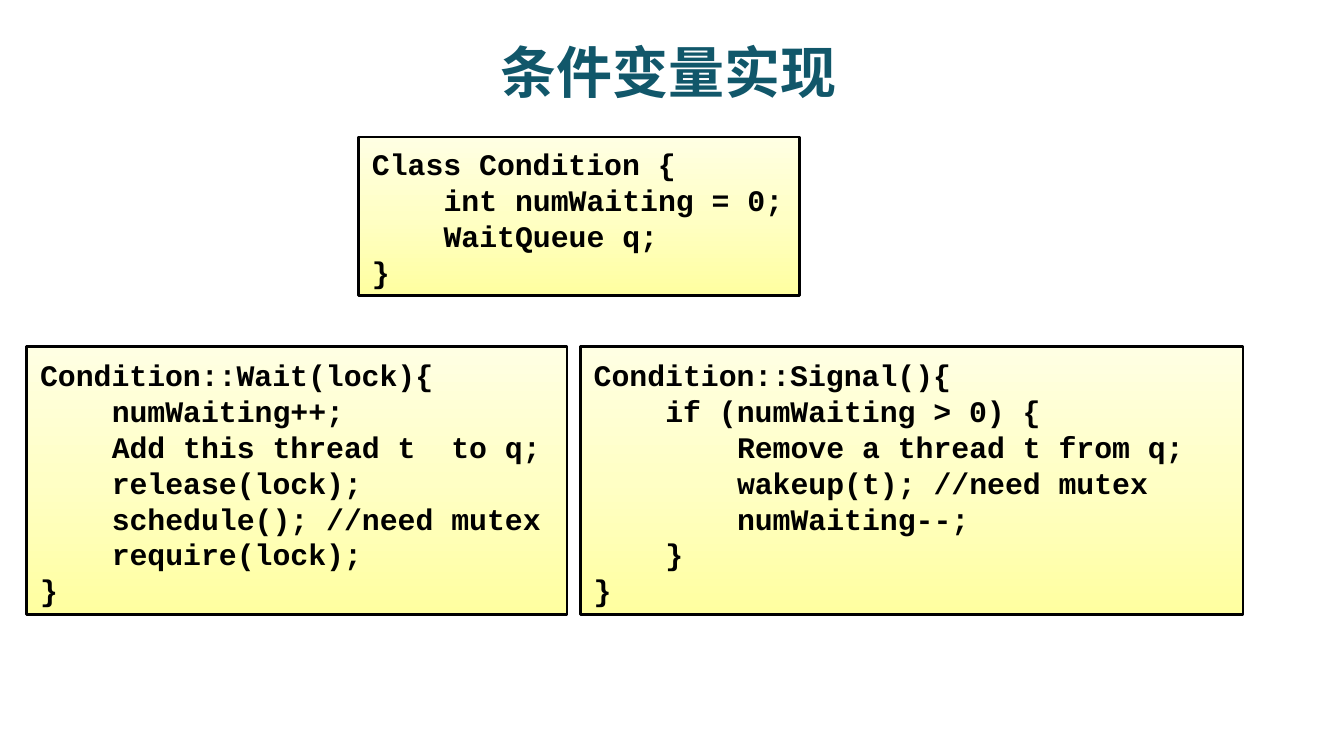
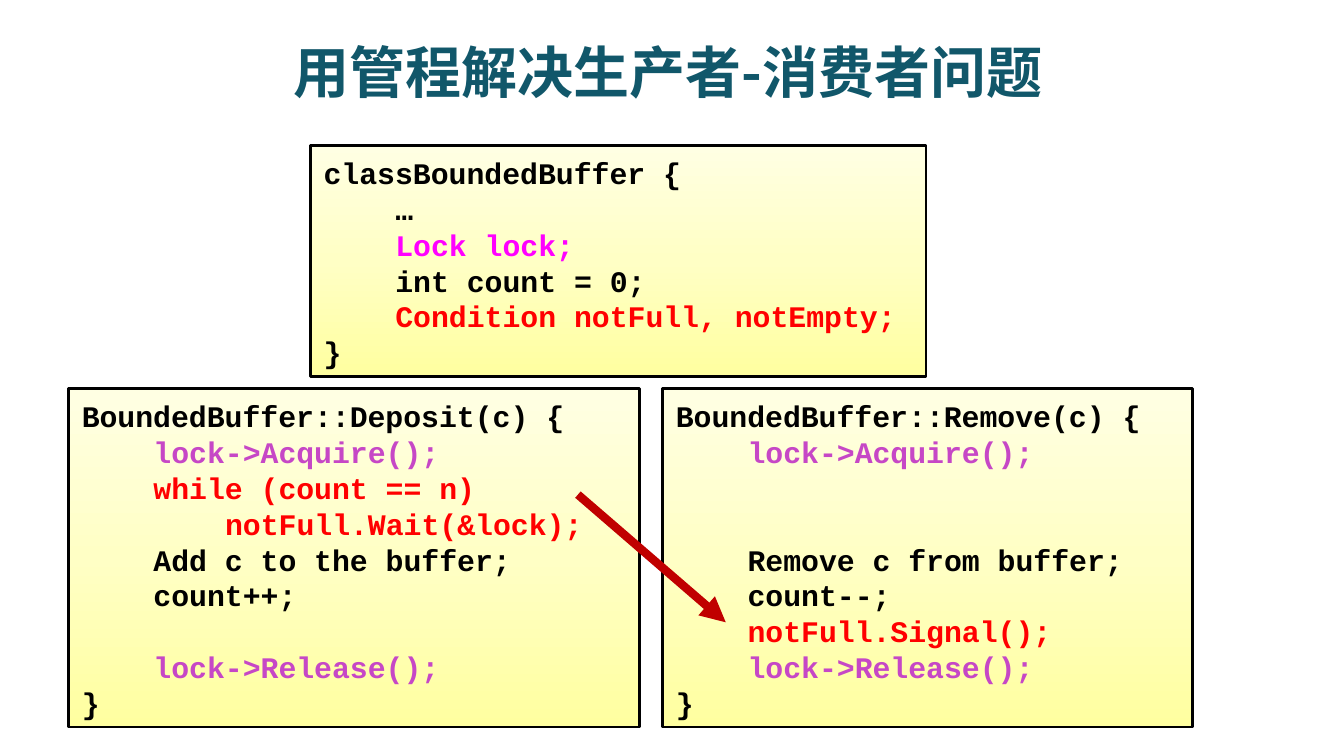
from copy import deepcopy
from typing import NamedTuple

from lxml.etree import SubElement
from pptx import Presentation
from pptx.dml.color import RGBColor
from pptx.enum.shapes import MSO_CONNECTOR, MSO_SHAPE
from pptx.enum.text import MSO_ANCHOR, PP_ALIGN
from pptx.oxml.ns import qn
from pptx.slide import Slide
from pptx.util import Pt

COLORS = {
    "title": "11576A",
    "ink": "000000",
    "lock": "C647C6",
    "field": "FF00FF",
    "key": "FF0000",
    "arrow": "C00000",
}
GLOW = [(0, "FFFFA0"), (0.5, "FFFFC5"), (1, "FFFFE3")]
TITLE_FONT, CODE_FONT = "Noto Sans CJK SC", "Courier New"
CODE_SIZE = 16
PITCH = 19.2
TAB = 38.4  # four characters of code


class Line(NamedTuple):
    """A line of code: depth counts indents, skip counts empty lines above."""
    text: str
    depth: int = 0
    color: str = "ink"
    skip: int = 0


class Code(NamedTuple):
    left: float
    top: float
    width: float
    height: float
    lines: list[Line]


class Arrow(NamedTuple):
    x1: float
    y1: float
    x2: float
    y2: float


class Page(NamedTuple):
    title: str
    codes: list[Code]
    arrows: list[Arrow] = []


ACQUIRE = Line("lock->Acquire();", 1, "lock")
RELEASE = Line("lock->Release();", 1, "lock")
END = Line("}")

PAGES = [
    Page("条件变量实现", [
        Code(14.4, 185.8, 289.4, 143.3, [
            Line("Condition::Wait(lock){"),
            Line("numWaiting++;", 1),
            Line("Add this thread t  to q;", 1),
            Line("release(lock);", 1),
            Line("schedule(); //need mutex", 1),
            Line("require(lock);", 1),
            END,
        ]),
        Code(311, 185.8, 355, 143.3, [
            Line("Condition::Signal(){"),
            Line("if (numWaiting > 0) {", 1),
            Line("Remove a thread t from q;", 2),
            Line("wakeup(t); //need mutex", 2),
            Line("numWaiting--;", 2),
            Line("}", 1),
            END,
        ]),
        Code(192.2, 73.4, 236.2, 85, [
            Line("Class Condition {"),
            Line("int numWaiting = 0;", 1),
            Line("WaitQueue q;", 1),
            END,
        ]),
    ]),
    Page("用管程解决生产者-消费者问题", [
        Code(36.7, 208.1, 306, 181.4, [
            Line("BoundedBuffer::Deposit(c) {"),
            ACQUIRE,
            Line("while (count == n)", 1, "key"),
            Line("notFull.Wait(&lock);", 2, "key"),
            Line("Add c to the buffer;", 1),
            Line("count++;", 1),
            RELEASE._replace(skip=1),
            END,
        ]),
        Code(355, 208.1, 283.7, 181.4, [
            Line("BoundedBuffer::Remove(c) {"),
            ACQUIRE,
            Line("Remove c from buffer;", 1, skip=2),
            Line("count--;", 1),
            Line("notFull.Signal();", 1, "key"),
            RELEASE,
            END,
        ]),
        Code(166.3, 77.8, 329.8, 123.8, [
            Line("classBoundedBuffer {"),
            Line("…", 1),
            Line("Lock lock;", 1, "field"),
            Line("int count = 0;", 1),
            Line("Condition notFull, notEmpty;", 1, "key"),
            END,
        ]),
    ], [Arrow(309.6, 265, 388.8, 333.4)]),
]


def tint(name: str) -> RGBColor:
    return RGBColor.from_string(COLORS[name])


def style(para, face: str, size: float, color: str) -> None:
    font = para.font
    font.name, font.size, font.bold = face, Pt(size), True
    font.color.rgb = tint(color)
    SubElement(font._element, qn("a:ea")).set("typeface", face)


def add_title(slide: Slide, text: str) -> None:
    frame = slide.shapes.add_textbox(Pt(34), Pt(18), Pt(648), Pt(40.3)).text_frame
    frame.word_wrap = True
    frame.vertical_anchor = MSO_ANCHOR.MIDDLE
    para = frame.paragraphs[0]
    para.text = text
    para.alignment = PP_ALIGN.CENTER
    style(para, TITLE_FONT, 30, "title")


def add_glow(shape) -> None:
    """Fill with the three-stop gradient, palest at the top."""
    fill = shape.fill
    fill.gradient()
    fill.gradient_angle = 90
    stops = shape._element.spPr.find(".//" + qn("a:gsLst"))
    stops.append(deepcopy(stops[-1]))
    for stop, (place, color) in zip(fill.gradient_stops, GLOW):
        stop.position = place
        stop.color.rgb = RGBColor.from_string(color)


def add_code(slide: Slide, code: Code) -> None:
    box = slide.shapes.add_shape(
        MSO_SHAPE.RECTANGLE, Pt(code.left), Pt(code.top), Pt(code.width), Pt(code.height))
    box.shadow.inherit = False
    add_glow(box)
    box.line.color.rgb = tint("ink")
    box.line.width = Pt(1.5)
    frame = box.text_frame
    frame.word_wrap = False
    frame.vertical_anchor = MSO_ANCHOR.BOTTOM
    for i, line in enumerate(code.lines):
        para = frame.add_paragraph() if i else frame.paragraphs[0]
        para.text = line.text
        para.alignment = PP_ALIGN.LEFT
        para.line_spacing = Pt(PITCH)
        para.space_before = Pt(line.skip * PITCH)
        para._p.get_or_add_pPr().set("marL", str(Pt(line.depth * TAB)))
        style(para, CODE_FONT, CODE_SIZE, line.color)


def add_arrow(slide: Slide, arrow: Arrow) -> None:
    link = slide.shapes.add_connector(MSO_CONNECTOR.STRAIGHT, *map(Pt, arrow))
    link.line.color.rgb = tint("arrow")
    link.line.width = Pt(4.5)
    SubElement(link.line._get_or_add_ln(), qn("a:tailEnd")).set("type", "triangle")
    SubElement(link._element.spPr, qn("a:effectLst"))


def main() -> None:
    deck = Presentation()
    deck.slide_width, deck.slide_height = Pt(720), Pt(405)
    for page in PAGES:
        slide = deck.slides.add_slide(deck.slide_layouts[6])
        add_title(slide, page.title)
        for code in page.codes:
            add_code(slide, code)
        for arrow in page.arrows:
            add_arrow(slide, arrow)
    deck.save("out.pptx")


if __name__ == "__main__":
    main()
